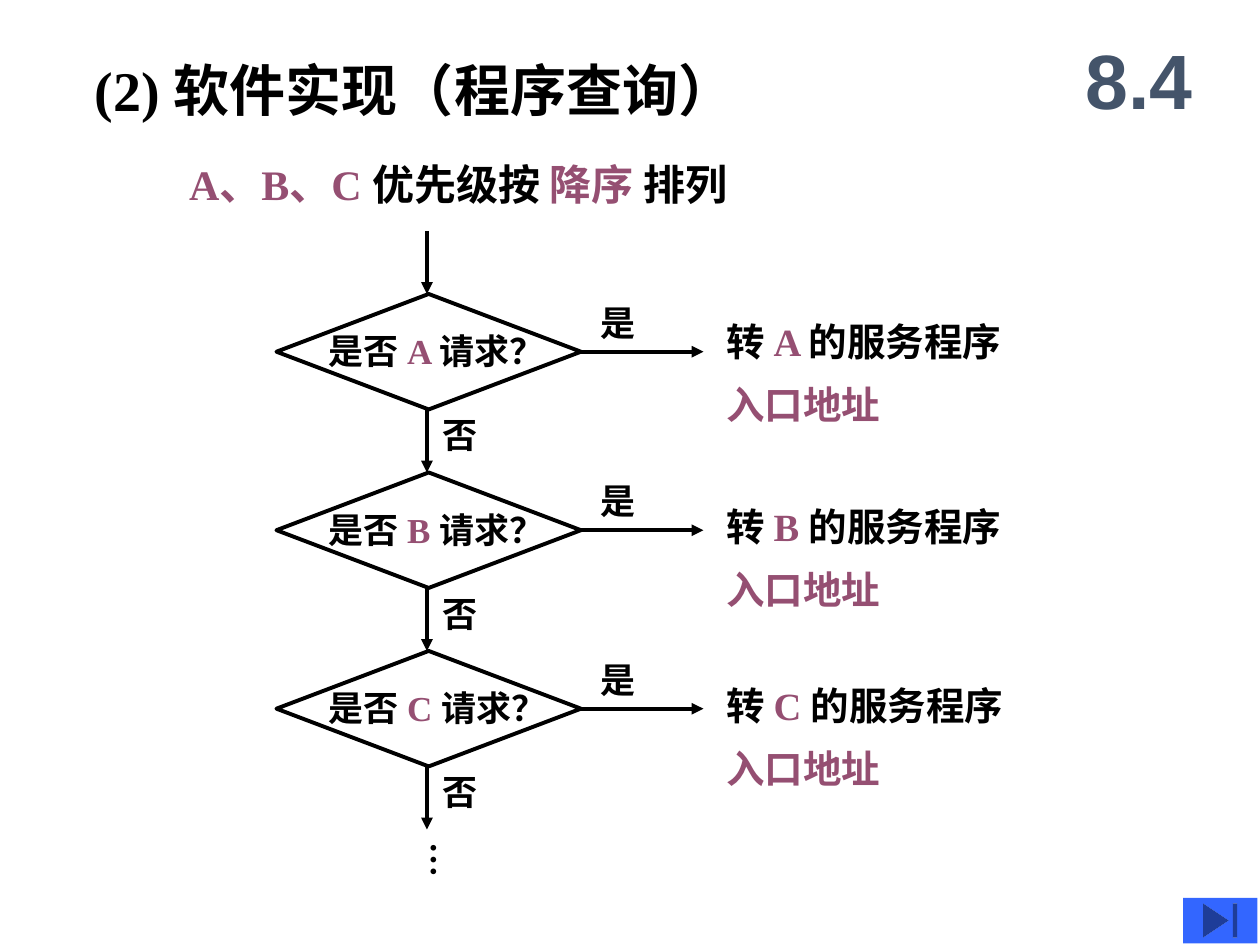
from lxml import etree
from pptx import Presentation
from pptx import util as u
from pptx.dml.color import RGBColor
from pptx.enum import shapes, text
from pptx.oxml.ns import qn

Pt = u.Pt
COLORS = {"ink": "000000", "accent": "954F72", "section": "44546A", "button": "3366FF"}
SERIF = "Times New Roman"
ROW_STEP = 102
ROWS = [("A", 14), ("B", 18), ("C", 18)]


def color(name):
    return RGBColor.from_string(COLORS[name])


def place(box, left, top, width, height):
    box.left, box.top, box.width, box.height = Pt(left), Pt(top), Pt(width), Pt(height)


def write(box, lines, size, insets=(7.2, 3.6, 7.2, 3.6), face=SERIF,
          anchor=text.MSO_ANCHOR.TOP, align=text.PP_ALIGN.LEFT):
    frame = box.text_frame
    frame.word_wrap = True
    frame.auto_size = text.MSO_AUTO_SIZE.NONE
    frame.vertical_anchor = anchor
    (frame.margin_left, frame.margin_top,
     frame.margin_right, frame.margin_bottom) = map(Pt, insets)
    for index, line in enumerate(lines):
        para = frame.paragraphs[0] if index == 0 else frame.add_paragraph()
        para.alignment = align
        for words, tone in line:
            span = para.add_run()
            span.text = words
            span.font.name = face
            span.font.size = Pt(size)
            span.font.bold = True
            span.font.color.rgb = color(tone)
    return frame


def add_text(page, area, lines, size, **options):
    box = page.shapes.add_textbox(*map(Pt, area))
    return write(box, lines, size, **options)


def add_arrow(page, left, top, right, bottom):
    arrow = page.shapes.add_connector(
        shapes.MSO_CONNECTOR.STRAIGHT, Pt(left), Pt(top), Pt(right), Pt(bottom))
    arrow.line.color.rgb = color("ink")
    arrow.line.width = Pt(2.25)
    etree.SubElement(arrow.line._get_or_add_ln(), qn("a:tailEnd"), type="triangle")
    etree.SubElement(arrow._element.spPr, qn("a:effectLst"))


def add_heading(page, left, top):
    middle = {"insets": (0, 3.6, 0, 3.6), "anchor": text.MSO_ANCHOR.MIDDLE}
    title = page.shapes.title
    place(title, left, top, 414, 42)
    write(title, [[("(2) 软件实现（程序查询）", "ink")]], 32, **middle)
    add_text(page, (left + 54, top + 54, 414, 42),
             [[("A、B、C ", "accent"), ("优先级按 ", "ink"),
               ("降序 ", "accent"), ("排列", "ink")]], 24, **middle)


def add_section_number(page, left, top):
    add_text(page, (left, top, 90, 66), [[("8.4", "section")]], 44, face="Arial",
             anchor=text.MSO_ANCHOR.MIDDLE, align=text.PP_ALIGN.CENTER)


def add_query(page, left, top, device, service_drop):
    diamond = page.shapes.add_shape(
        shapes.MSO_SHAPE.DIAMOND, Pt(left), Pt(top), Pt(174), Pt(66))
    diamond.shadow.inherit = False
    diamond.fill.background()
    diamond.line.color.rgb = color("ink")
    diamond.line.width = Pt(2.25)
    name = (device + " ", "accent")
    add_text(page, (left + 30, top + 20.5, 155, 28),
             [[("是否 ", "ink"), name, ("请求？", "ink")]], 20, insets=(0, 0, 7.2, 3.6))

    add_arrow(page, left + 172, top + 33, left + 244, top + 33)
    add_text(page, (left + 178, top + 0.5, 48, 32), [[("是", "ink")]], 20)
    add_arrow(page, left + 86, top + 66, left + 86, top + 102)
    add_text(page, (left + 88, top + 65, 48, 32), [[("否", "ink")]], 20)

    service = add_text(page, (left + 250, top + service_drop, 276, 66),
                       [[("转 ", "ink"), name, ("的服务程序", "ink")],
                        [("入口地址", "accent")]], 22)
    for para in service.paragraphs:
        para.line_spacing = 0.85
    service.paragraphs[1].space_before = Pt(13.8)


def add_flowchart(page, left, top):
    add_arrow(page, left + 86, top, left + 86, top + 36)
    for index, (device, service_drop) in enumerate(ROWS):
        add_query(page, left, top + 36 + index * ROW_STEP, device, service_drop)
    dots = add_text(page, (left + 74, top + 342, 38, 27), [[("…", "ink")]], 20,
                    insets=(3.6, 7.2, 3.6, 7.2))
    dots.word_wrap = False
    dots._txBody.bodyPr.set("vert", "eaVert")


def add_end_button(page, left, top):
    button = page.shapes.add_shape(
        shapes.MSO_SHAPE.ACTION_BUTTON_END, Pt(left), Pt(top), Pt(42.5), Pt(26))
    button.shadow.inherit = False
    button.fill.solid()
    button.fill.fore_color.rgb = color("button")
    button.line.fill.background()


def main():
    deck = Presentation()
    deck.slide_width, deck.slide_height = Pt(720), Pt(540)
    page = deck.slides.add_slide(deck.slide_layouts.get_by_name("Title Only"))
    add_heading(page, 54, 30)
    add_section_number(page, 606, 12)
    add_flowchart(page, 158, 132)
    add_end_button(page, 676, 513)
    deck.save("out.pptx")


if __name__ == "__main__":
    main()
